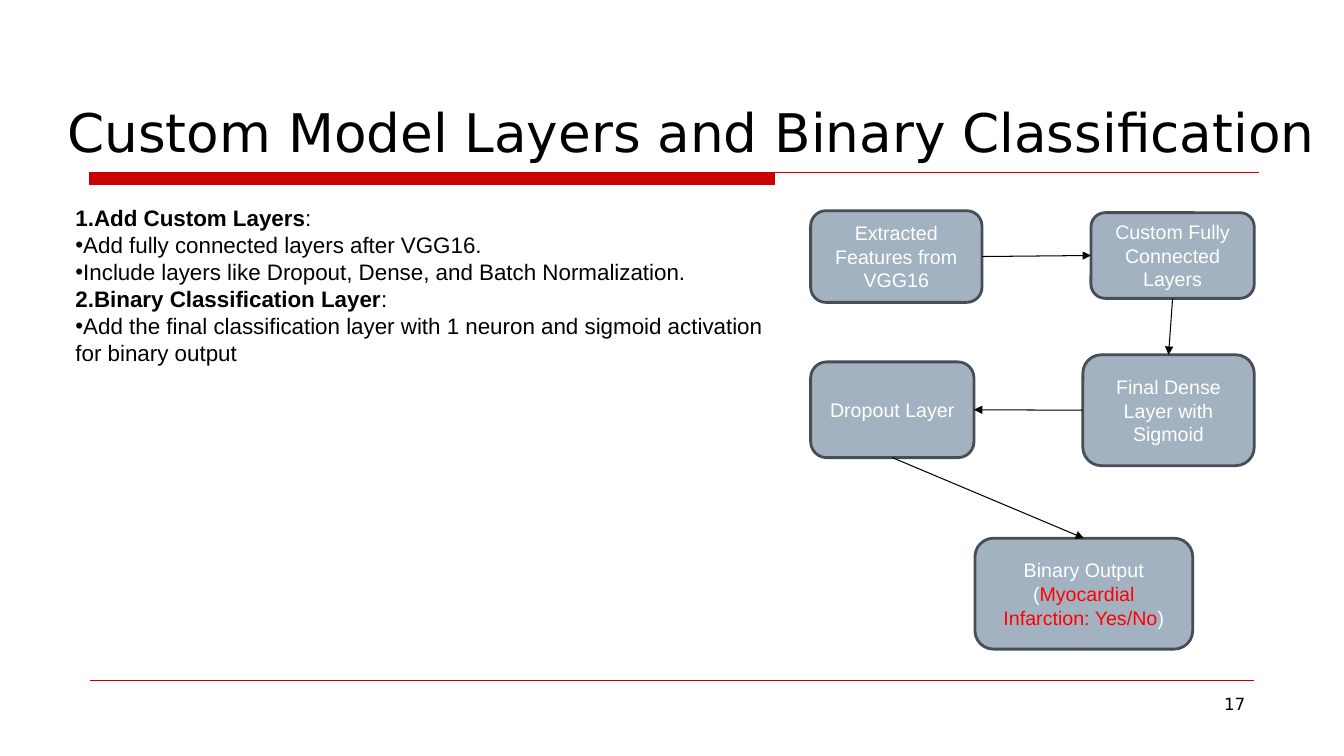
from pptx import Presentation
from pptx.dml.color import RGBColor
from pptx.enum.shapes import MSO_CONNECTOR as Connector, MSO_SHAPE as Shape
from pptx.enum.text import MSO_ANCHOR as Anchor, PP_ALIGN as Align
from pptx.oxml.ns import qn
from pptx.util import Inches, Pt
from lxml.etree import SubElement


class Theme:
    red = RGBColor.from_string("CC0000")
    highlight = RGBColor.from_string("FF0000")
    black = RGBColor.from_string("000000")
    white = RGBColor.from_string("FFFFFF")
    box_fill = RGBColor.from_string("A3B2C1")
    box_line = RGBColor.from_string("474E55")
    heading_font, body_font = "DejaVu Sans", "Arial"
    title_size, body_size, box_size, number_size = Pt(38), Pt(16), Pt(14), Pt(12)
    thin, thick = Pt(0.75), Pt(2)


def add_line(start, end, color):
    line = slide.shapes.add_connector(
        Connector.STRAIGHT, *[Inches(value) for value in (*start, *end)])
    line.line.color.rgb = color
    line.line.width = Theme.thin
    SubElement(line._element.spPr, qn("a:effectLst"))
    return line


def add_runs(paragraph, runs, font_name, size):
    for text, color, bold in runs:
        run = paragraph.add_run()
        run.text = text
        run.font.name = font_name
        run.font.size = size
        run.font.bold = bold
        run.font.color.rgb = color


presentation = Presentation()
presentation.slide_width = Inches(13.33)
presentation.slide_height = Inches(7.5)
slide = presentation.slides.add_slide(presentation.slide_layouts[6])

title_bar = slide.shapes.add_shape(
    Shape.RECTANGLE, Inches(0.89), Inches(1.71), Inches(6.79), Inches(0.12))
title_bar.shadow.inherit = False
title_bar.fill.solid()
title_bar.fill.fore_color.rgb = Theme.red
title_bar.line.color.rgb = Theme.red
title_bar.line.width = Theme.thin
add_line((0.89, 1.71), (12.49, 1.71), Theme.red)
add_line((0.89, 6.75), (12.44, 6.75), Theme.red)

headings = [
    ((0.57, 0.34, 12.76, 1.33), "Custom Model Layers and Binary Classification",
     Theme.title_size, Anchor.BOTTOM, Align.LEFT),
    ((9.56, 6.83, 2.89, 0.52), "17", Theme.number_size, Anchor.TOP, Align.RIGHT),
]
for bounds, text, size, anchor, alignment in headings:
    text_box = slide.shapes.add_textbox(*[Inches(value) for value in bounds])
    text_box.text_frame.word_wrap = True
    text_box.text_frame.vertical_anchor = anchor
    paragraph = text_box.text_frame.paragraphs[0]
    paragraph.alignment = alignment
    add_runs(paragraph, [(text, Theme.black, False)], Theme.heading_font, size)

flow_boxes = {
    "features": ((8.04, 2.09, 1.7, 0.91),
                 [("Extracted Features from VGG16", Theme.white, False)]),
    "custom": ((10.82, 2.11, 1.62, 0.85),
               [("Custom Fully Connected Layers", Theme.white, False)]),
    "dense": ((10.74, 3.52, 1.7, 1.1),
              [("Final Dense Layer with Sigmoid", Theme.white, False)]),
    "dropout": ((8.04, 3.59, 1.62, 0.95), [("Dropout Layer", Theme.white, False)]),
    "output": ((9.67, 5.34, 2.16, 1.1),
               [("Binary Output (", Theme.white, False),
                ("Myocardial Infarction: Yes/No", Theme.highlight, False),
                (")", Theme.white, False)]),
}
boxes = {}
for name, (bounds, runs) in flow_boxes.items():
    box = slide.shapes.add_shape(
        Shape.ROUNDED_RECTANGLE, *[Inches(value) for value in bounds])
    box.shadow.inherit = False
    box.fill.solid()
    box.fill.fore_color.rgb = Theme.box_fill
    box.line.color.rgb = Theme.box_line
    box.line.width = Theme.thick
    box.text_frame.word_wrap = True
    box.text_frame.vertical_anchor = Anchor.MIDDLE
    paragraph = box.text_frame.paragraphs[0]
    paragraph.alignment = Align.CENTER
    add_runs(paragraph, runs, Theme.body_font, Theme.box_size)
    boxes[name] = box

TOP, LEFT, BOTTOM, RIGHT = range(4)
flow_arrows = [
    ("features", RIGHT, "custom", LEFT),
    ("custom", BOTTOM, "dense", TOP),
    ("dense", LEFT, "dropout", RIGHT),
    ("dropout", BOTTOM, "output", TOP),
]
for source, source_side, target, target_side in flow_arrows:
    arrow = add_line((0, 0), (1, 1), Theme.black)
    arrow.begin_connect(boxes[source], source_side)
    arrow.end_connect(boxes[target], target_side)
    SubElement(arrow.line._get_or_add_ln(), qn("a:tailEnd"), type="triangle")

steps = [
    ("1.Add Custom Layers", True),
    ("Add fully connected layers after VGG16.", False),
    ("Include layers like Dropout, Dense, and Batch Normalization.", False),
    ("2.Binary Classification Layer", True),
    ("Add the final classification layer with 1 neuron and sigmoid activation "
     "for binary output", False),
]
steps_box = slide.shapes.add_textbox(
    Inches(0.65), Inches(1.98), Inches(7.08), Inches(1.72))
steps_frame = steps_box.text_frame
steps_frame.word_wrap = True
for index, (text, is_heading) in enumerate(steps):
    paragraph = steps_frame.add_paragraph() if index else steps_frame.paragraphs[0]
    runs = [(text, Theme.black, is_heading)]
    if is_heading:
        runs.append((":", Theme.black, False))
    else:
        properties = paragraph._p.get_or_add_pPr()
        properties.set("marL", "0")
        properties.set("indent", "0")
        SubElement(properties, qn("a:buFont"), typeface=Theme.body_font)
        SubElement(properties, qn("a:buChar"), char="•")
    add_runs(paragraph, runs, Theme.body_font, Theme.body_size)

presentation.save("out.pptx")
